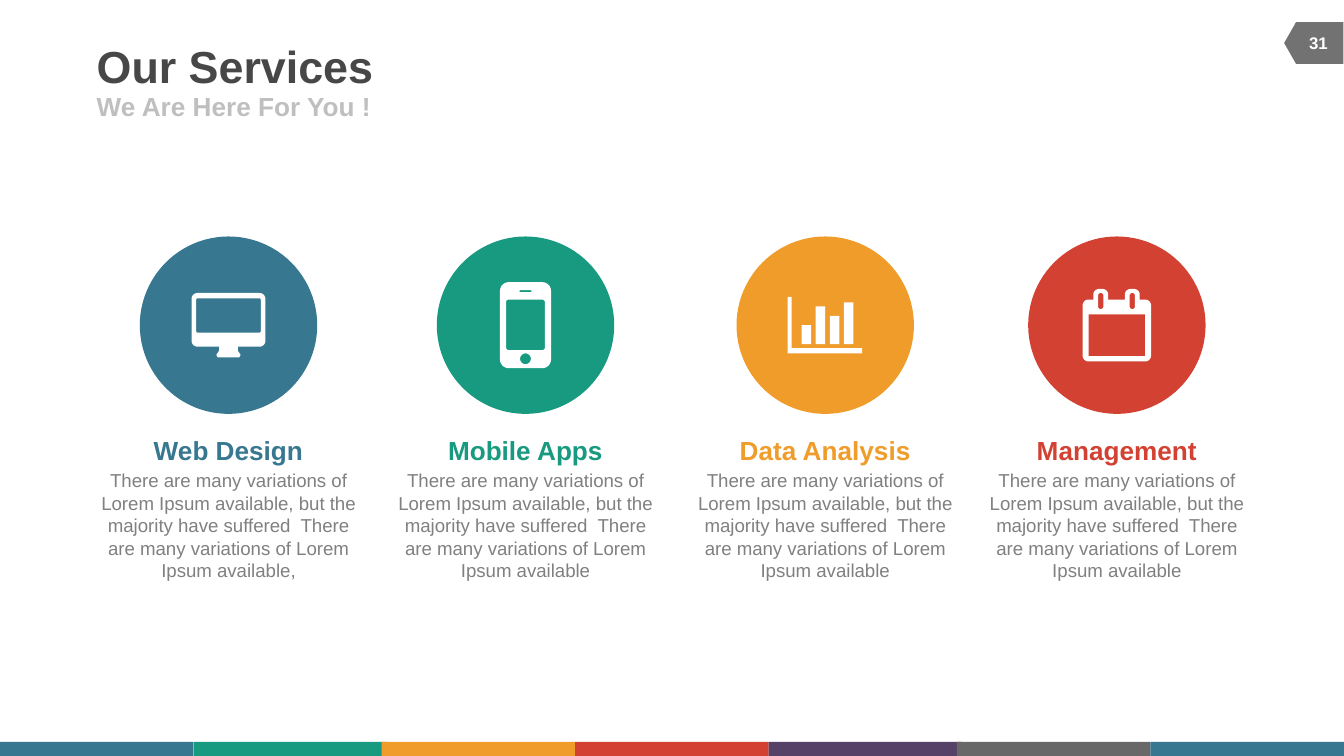
from math import dist

from pptx import Presentation
from pptx.dml.color import RGBColor
from pptx.enum.shapes import MSO_SHAPE
from pptx.enum.text import MSO_ANCHOR, PP_ALIGN
from pptx.util import Inches, Pt

WIDE = 10
HIGH = WIDE * 9 / 16
UNIT = WIDE / 100  # the grid has 100 columns, with square cells

HUES = {
    "blue": "377790", "green": "189A80", "amber": "F09C2A", "red": "D24132",
    "plum": "564266", "slate": "686868", "badge": "727272", "title": "474747",
    "pale": "BFBFBF", "body": "808080", "white": "FFFFFF",
}
BLURB = ("There are many variations of Lorem Ipsum available, but the majority "
         "have suffered  There are many variations of Lorem Ipsum available")


def grid(*cells):
    return [Inches(cell * UNIT) for cell in cells]


def paint(shape, hue):
    shape.shadow.inherit = False
    shape.fill.solid()
    shape.fill.fore_color.rgb = RGBColor.from_string(HUES[hue])
    shape.line.fill.background()
    return shape


def block(slide, kind, area, hue):
    return paint(slide.shapes.add_shape(kind, *grid(*area)), hue)


def text(slide, area, *lines, align=PP_ALIGN.LEFT, anchor=MSO_ANCHOR.TOP,
         pad=(1, 0.5)):
    """Each line is (words, size, hue, bold)."""
    frame = slide.shapes.add_textbox(*grid(*area)).text_frame
    frame.word_wrap = True
    frame.vertical_anchor = anchor
    frame.margin_left = frame.margin_right = grid(pad[0])[0]
    frame.margin_top = frame.margin_bottom = grid(pad[1])[0]
    for n, (words, size, hue, bold) in enumerate(lines):
        para = frame.add_paragraph() if n else frame.paragraphs[0]
        para.text = words
        para.alignment = align
        if n:
            para.space_before = Pt(size * 0.2)
        font = para.font
        font.name, font.size, font.bold = "Arial", Pt(size), bold
        font.color.rgb = RGBColor.from_string(HUES[hue])


# Outlines, in cells from the centre of a disc
def bend(points, reach):
    """Round each outer corner of a clockwise outline with a cubic curve."""
    curve = []
    for n, spot in enumerate(points):
        last, follow = points[n - 1], points[(n + 1) % len(points)]
        turn = ((spot[0] - last[0]) * (follow[1] - spot[1])
                - (spot[1] - last[1]) * (follow[0] - spot[0]))
        if not reach or turn < 0:
            curve.append(spot)
            continue
        ends = []
        for near in (last, follow):
            share = min(0.5, reach / dist(spot, near))
            ends.append([a + (b - a) * share for a, b in zip(spot, near)])
        pull = [[e + (s - e) * 0.55 for e, s in zip(end, spot)] for end in ends]
        for step in range(9):
            t = step / 8
            u = 1 - t
            curve.append(tuple(
                u**3 * a + 3 * u * u * t * b + 3 * u * t * t * c + t**3 * d
                for a, b, c, d in zip(ends[0], *pull, ends[1])))
    return curve


def box(left, top, right, low, reach=0):
    return bend([(left, low), (left, top), (right, top), (right, low)], reach)


def screen():
    side = [(0.7, 1.6), (0.7, 1.9), (0.9, 2.2), (0.8, 2.4)]
    stand = side + [(-x, y) for x, y in reversed(side)]
    return [box(-2.75, -2.4, 2.75, 1.6, 0.45) + stand,
            box(-2.4, -2, 2.4, 0.55, 0.1)]


def phone():
    return [box(-1.9, -3.2, 1.9, 3.2, 0.65), box(-1.45, -1.9, 1.45, 1.85, 0.2),
            box(-0.45, -2.6, 0.45, -2.45, 0.07), box(-0.4, 2.1, 0.4, 2.9, 0.4)]


def chart():
    axes = [(-2.8, -2.1), (-2.5, -2.1), (-2.5, 1.7),
            (2.75, 1.7), (2.75, 2.1), (-2.8, 2.1)]
    bars = [box(-1.75 + 1.05 * n, top, -1.05 + 1.05 * n, 1.4)
            for n, top in enumerate((0, -1.4, -0.7, -1.7))]
    return [axes, *bars]


def dates():
    edge = [(-2.55, 2.7), (-2.55, -1.9)]
    for left in (-1.75, 0.6):
        edge += [(left, -1.9), (left, -2.7), (left + 1.1, -2.7), (left + 1.1, -1.9)]
    edge += [(2.55, -1.9), (2.55, 2.7)]
    slots = [box(mid - 0.2, -2.4, mid + 0.2, -1.2, 0.2) for mid in (-1.2, 1.15)]
    return [bend(edge, 0.45), box(-2.1, -0.8, 2.1, 2.3), *slots]


def icon(slide, mid, row, paths):
    pen = None
    for points in paths:
        spots = [grid(mid + x, row + y) for x, y in points]
        if pen is None:
            pen = slide.shapes.build_freeform(*spots[0], scale=1)
        else:
            pen.move_to(*spots[0])
        pen.add_line_segments(spots[1:], close=True)
    paint(pen.convert_to_shape(), "white")


def service(slide, mid, name, hue, paths, words):
    size, row, width = 13.2, 24.2, 21.6
    text(slide, (mid - width / 2, 31.8, width, 12.1),
         (name, 14, hue, True), (words, 10, "body", False),
         align=PP_ALIGN.CENTER)
    block(slide, MSO_SHAPE.OVAL, (mid - size / 2, row - size / 2, size, size), hue)
    icon(slide, mid, row, paths)


def main():
    deck = Presentation()
    deck.slide_width, deck.slide_height = Inches(WIDE), Inches(HIGH)
    slide = deck.slides.add_slide(deck.slide_layouts[6])

    # Colour strip along the foot
    starts = (0, 14.4, 28.4, 42.8, 57.2, 71.2, 85.6)
    tones = ("blue", "green", "amber", "red", "plum", "slate", "blue")
    for left, hue in zip(starts, tones):
        block(slide, MSO_SHAPE.RECTANGLE, (left, 55.2, 14.4, 1.05), hue)

    # Page badge
    tag = block(slide, MSO_SHAPE.FLOWCHART_OFFPAGE_CONNECTOR,
                (96.2, 1, 3.1, 4.4), "badge")
    tag.rotation = 90
    text(slide, (96, 1.7, 4.2, 3), ("31", 9, "white", True),
         align=PP_ALIGN.CENTER, anchor=MSO_ANCHOR.MIDDLE)

    # Headings
    for area, line in (
        ((7.2, 2.9, 61.7, 3.9), ("Our Services", 24, "title", True)),
        ((7.2, 6.8, 45, 2.2), ("We Are Here For You !", 14, "pale", True)),
    ):
        text(slide, area, line, anchor=MSO_ANCHOR.MIDDLE, pad=(0, 0))

    # Services
    service(slide, 17, "Web Design", "blue", screen(), BLURB + ",")
    service(slide, 39.1, "Mobile Apps", "green", phone(), BLURB)
    service(slide, 61.4, "Data Analysis", "amber", chart(), BLURB)
    service(slide, 83.1, "Management", "red", dates(), BLURB)

    deck.save("out.pptx")


if __name__ == "__main__":
    main()
